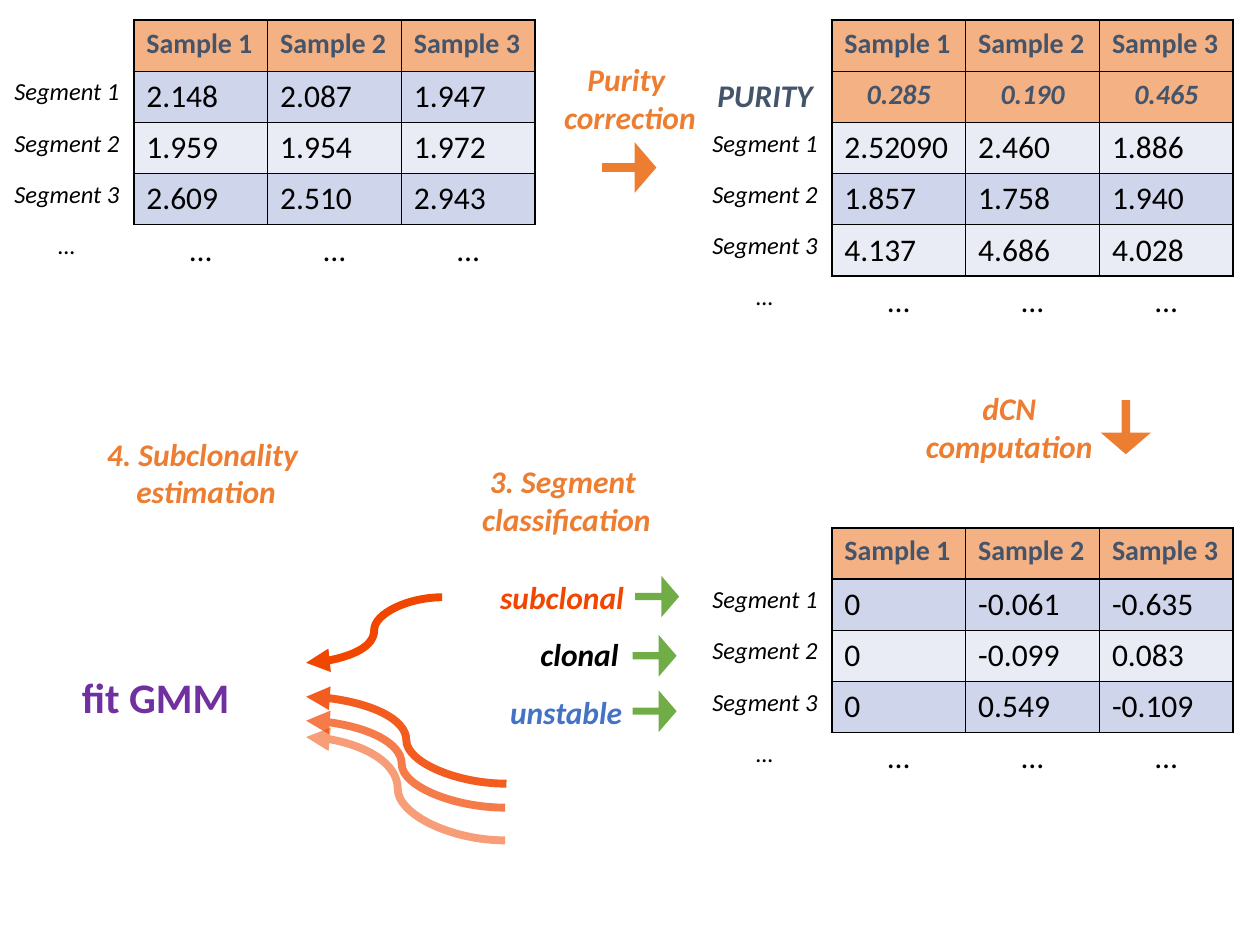
from dataclasses import dataclass

from lxml import etree
from pptx import Presentation
from pptx import util as u
from pptx.dml import color
from pptx.enum import shapes, text
from pptx.oxml import ns


@dataclass(frozen=True)
class Theme:
    font: str = "Calibri"
    ink: str = "000000"
    heading: str = "44546A"
    header_fill: str = "F4B183"
    bands: tuple = ("E9EBF5", "CFD5EA")
    step: str = "ED7D31"
    subclonal: str = "F14600"
    unstable: str = "4472C4"
    class_arrow: str = "70AD47"
    model: str = "7030A0"
    small: int = 14
    medium: int = 16
    body: int = 18
    large: int = 24
    border: float = 1
    curve: float = 4.5


class Board:
    GRID_COLUMNS, GRID_ROWS = 100, 75
    CELL_COLUMNS, CELL_ROWS = 10.62, 4.06

    def __init__(self, deck, theme):
        self.theme = theme
        self.slide = deck.slides.add_slide(deck.slide_layouts[6])
        self.column = deck.slide_width / self.GRID_COLUMNS
        self.row = deck.slide_height / self.GRID_ROWS

    def place(self, *columns_and_rows):
        units = (self.column, self.row) * 2
        return [u.Emu(round(n * unit)) for n, unit in zip(columns_and_rows, units)]

    def style(self, paragraph, size, ink, bold=False, italic=False, centred=False):
        font = paragraph.font
        font.name, font.size = self.theme.font, u.Pt(size)
        font.bold, font.italic = bold, italic
        font.color.rgb = color.RGBColor.from_string(ink)
        paragraph.alignment = text.PP_ALIGN.CENTER if centred else text.PP_ALIGN.LEFT

    def edges(self, cell, sides):
        properties = cell._tc.get_or_add_tcPr()
        lines = []
        for side in "LRTB":
            line = etree.Element(ns.qn(f"a:ln{side}"))
            if side in sides:
                line.set("w", str(u.Pt(self.theme.border)))
                fill = etree.SubElement(line, ns.qn("a:solidFill"))
                etree.SubElement(fill, ns.qn("a:srgbClr"), val=self.theme.ink)
            else:
                etree.SubElement(line, ns.qn("a:noFill"))
            lines.append(line)
        properties[:0] = lines

    def cell(self, cell, words, fill, sides, **look):
        cell.text = words
        self.style(cell.text_frame.paragraphs[0], **look)
        if fill:
            cell.fill.solid()
            cell.fill.fore_color.rgb = color.RGBColor.from_string(fill)
        else:
            cell.fill.background()
        self.edges(cell, sides)

    def table(self, left, top, segments, purity=None):
        t = self.theme
        rows = [("", "Sample 1", "Sample 2", "Sample 3")]
        if purity:
            rows.append(("PURITY", *purity))
        rows += [(f"Segment {n}", *values) for n, values in enumerate(segments, 1)]
        rows.append(("…",) * 4)
        last = len(rows) - 1
        box = self.place(left, top, 4 * self.CELL_COLUMNS, len(rows) * self.CELL_ROWS)
        grid = self.slide.shapes.add_table(len(rows), 4, *box).table
        grid.horz_banding = False
        for r, row in enumerate(rows):
            for c, words in enumerate(row):
                purity_row = row[0] == "PURITY"
                heading = r == 0 or purity_row
                look = dict(size=t.body, ink=t.heading if heading else t.ink,
                            bold=heading, italic=purity_row,
                            centred=purity_row or r == last)
                fill = t.header_fill if heading else t.bands[r % 2]
                sides = "LRTB"
                if c == 0:
                    fill, sides = None, "" if r == last else "R"
                    look.update(italic=True, centred=True)
                    if not heading:
                        look["size"] = t.small
                elif r == last:
                    fill, sides = None, "T"
                elif heading:
                    look["size"] = t.medium
                self.cell(grid.cell(r, c), words, fill, sides, **look)

    def label(self, box, lines, ink, size=None, italic=True, centred=True, group=None):
        frame = (group or self.slide).shapes.add_textbox(*self.place(*box)).text_frame
        frame.word_wrap = False
        frame.auto_size = text.MSO_AUTO_SIZE.SHAPE_TO_FIT_TEXT
        frame.text = "\n".join(lines)
        for paragraph in frame.paragraphs:
            self.style(paragraph, size or self.theme.body, ink, True, italic, centred)

    def arrow(self, box, fill, group, turn=0):
        arrow = group.shapes.add_shape(shapes.MSO_SHAPE.RIGHT_ARROW, *self.place(*box))
        arrow.adjustments[0], arrow.adjustments[1] = 0.17, 0.43
        arrow.rotation = turn
        arrow.shadow.inherit = False
        arrow.fill.solid()
        arrow.fill.fore_color.rgb = color.RGBColor.from_string(fill)
        arrow.line.fill.background()

    def step(self, arrow_box, label_box, lines, ink, arrow_fill, turn=0, centred=True):
        group = self.slide.shapes.add_group_shape()
        self.arrow(arrow_box, arrow_fill, group, turn)
        self.label(label_box, lines, ink, centred=centred, group=group)

    def curve(self, group, start, end, bend, opacity):
        curve = group.shapes.add_connector(
            shapes.MSO_CONNECTOR.CURVE, *self.place(*start, *end))
        curve.line.width = u.Pt(self.theme.curve)
        curve.line.color.rgb = color.RGBColor.from_string(self.theme.subclonal)
        properties = curve._element.spPr
        guides = properties.find(ns.qn("a:prstGeom")).get_or_add_avLst()
        etree.SubElement(guides, ns.qn("a:gd"), name="adj1",
                         fmla=f"val {round(bend * 100000)}")
        stroke = properties.find(ns.qn("a:ln"))
        if opacity < 100:
            etree.SubElement(stroke.find(".//" + ns.qn("a:srgbClr")),
                             ns.qn("a:alpha"), val=str(opacity * 1000))
        etree.SubElement(stroke, ns.qn("a:tailEnd"), type="triangle")
        etree.SubElement(properties, ns.qn("a:effectLst"))


def main():
    deck = Presentation()
    deck.slide_width, deck.slide_height = u.Inches(10), u.Inches(7.5)
    theme = Theme()
    board = Board(deck, theme)

    board.table(0, 1.6, [("2.148", "2.087", "1.947"),
                         ("1.959", "1.954", "1.972"),
                         ("2.609", "2.510", "2.943")])
    board.step((47.8, 11.3, 4.3, 4), (43.7, 4.3, 12.6, 7.1),
               ["Purity ", "correction"], theme.step, theme.step)
    board.table(55.4, 1.6, [("2.52090", "2.460", "1.886"),
                            ("1.857", "1.758", "1.940"),
                            ("4.137", "4.686", "4.028")],
                purity=("0.285", "0.190", "0.465"))
    board.step((87.2, 31.9, 4.3, 4), (72.4, 30.4, 15.4, 7.1),
               ["dCN", "computation"], theme.step, theme.step, turn=90)
    board.table(55.4, 41.9, [("0", "-0.061", "-0.635"),
                             ("0", "-0.099", "0.083"),
                             ("0", "0.549", "-0.109")])
    board.label((37.2, 36.2, 15.5, 7.1), ["3. Segment ", "classification"], theme.step)

    for name, ink, arrow_at, label_at, width in (
            ("subclonal", theme.subclonal, (50.4, 45.7), (38.7, 45.4), 11.9),
            ("clonal", theme.ink, (50.2, 50.4), (41.9, 49.9), 8.2),
            ("unstable", theme.unstable, (50.2, 54.8), (39.5, 54.5), 11)):
        board.step((*arrow_at, 3.5, 3.3), (*label_at, width, 4),
                   [name], ink, theme.class_arrow, centred=False)

    fits = board.slide.shapes.add_group_shape()
    for start, end_row, bend, opacity in (
            ((35.1, 47.4), 52.6, 0.5, 100),
            ((40.2, 62.2), 55.3, 0.5, 87),
            ((40.1, 66.7), 58.5, 0.54, 53),
            ((40.1, 64.1), 57.2, 0.52, 71)):
        board.curve(fits, start, (24.3, end_row), bend, opacity)

    board.label((5.4, 52.8, 13.9, 5), ["fit GMM"], theme.model, theme.large, italic=False)
    board.label((7.4, 34, 17.9, 7.1), ["4. Subclonality ", "estimation"], theme.step)
    deck.save("out.pptx")


if __name__ == "__main__":
    main()
